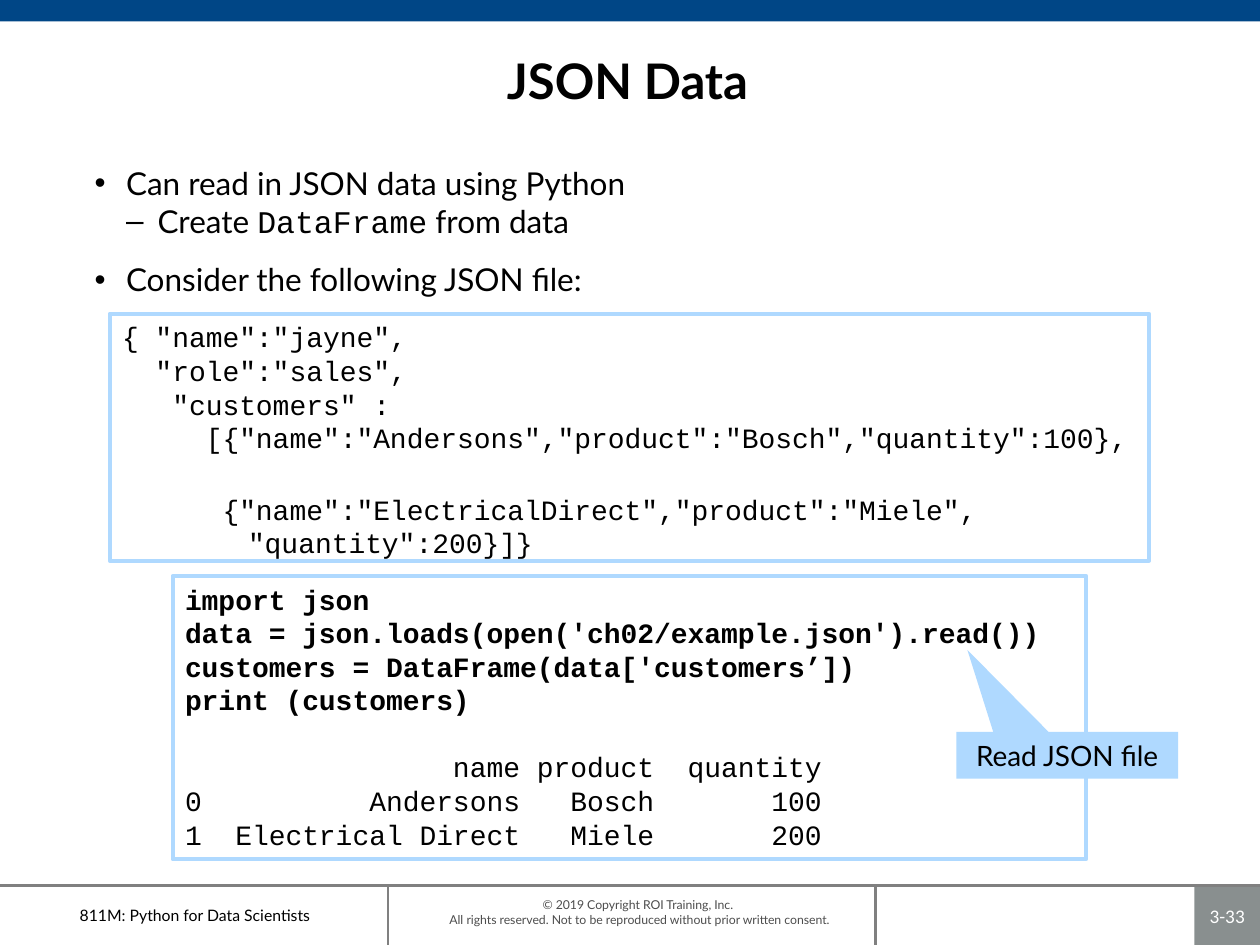
"""Build the JSON Data course slide."""
from lxml import etree
from pptx import Presentation
from pptx.dml.color import RGBColor
from pptx.enum.shapes import MSO_CONNECTOR, MSO_SHAPE
from pptx.enum.text import MSO_ANCHOR, MSO_AUTO_SIZE, PP_ALIGN
from pptx.oxml.ns import qn
from pptx.util import Inches, Pt

RECT, CALL = MSO_SHAPE.RECTANGLE, MSO_SHAPE.RECTANGULAR_CALLOUT
LINE = MSO_CONNECTOR.STRAIGHT
TOP, MID = MSO_ANCHOR.TOP, MSO_ANCHOR.MIDDLE
LEFT, MIDST = PP_ALIGN.LEFT, PP_ALIGN.CENTER
FIXED = MSO_AUTO_SIZE.NONE
SANS, MONO = "Lato", "Courier New"
BLACK, WHITE, SKY, NAVY = "000000", "FFFFFF", "AFD9FF", "004686"
GREY, DARK, STEEL = "808080", "4D4D4D", "898F8F"

DATA = [
    '{ "name":"jayne",',
    '  "role":"sales",',
    '   "customers" :',
    '     [{"name":"Andersons","product":"Bosch","quantity":100},\n',
    '      {"name":"ElectricalDirect","product":"Miele",',
    '\t\t"quantity":200}]}',
]
CODE = [
    "import json",
    "data = json.loads(open('ch02/example.json').read())",
    "customers = DataFrame(data['customers’])",
    "print (customers)",
]
RESULT = [
    " ",
    "                name product  quantity",
    "0          Andersons   Bosch       100",
    "1  Electrical Direct   Miele       200",
]
POINTS = [
    (0, [("Can read in JSON data using Python", SANS)]),
    (1, [("Create ", SANS), ("DataFrame", MONO), (" from data", SANS)]),
    (0, [("Consider the following JSON file:", SANS)]),
]


def color(code):
    return RGBColor.from_string(code)


class Deck:
    def __init__(self):
        self.prs = Presentation()
        self.prs.slide_width, self.prs.slide_height = Inches(10), Inches(7.5)
        self.slide = self.prs.slides.add_slide(self.prs.slide_layouts[1])

    def run(self, para, text, size, face=SANS, ink=BLACK, bold=False):
        for i, part in enumerate(text.split("\n")):
            if i:
                para.add_line_break()
            if part:
                run = para.add_run()
                run.text = part
                font = run.font
                font.name, font.size, font.bold = face, Pt(size), bold
                font.color.rgb = color(ink)

    def frame(self, shape, anchor=MID, pad=(0.1, 0.05)):
        frame = shape.text_frame
        frame.word_wrap, frame.auto_size = True, FIXED
        frame.vertical_anchor = anchor
        frame.margin_left = frame.margin_right = Inches(pad[0])
        frame.margin_top = frame.margin_bottom = Inches(pad[1])
        return frame

    def place(self, shape, box):
        shape.left, shape.top, shape.width, shape.height = map(Inches, box)

    def label(self, shape, text, size, pad=(0.1, 0.05), anchor=MID, **style):
        para = self.frame(shape, anchor, pad).paragraphs[0]
        para.alignment = MIDST
        self.run(para, text, size, **style)

    def note(self, box, text, size, **style):
        self.label(self.slide.shapes.add_textbox(*map(Inches, box)),
                   text, size, **style)

    def shape(self, box, kind=RECT, fill=None, line=None):
        shape = self.slide.shapes.add_shape(kind, *map(Inches, box))
        shape.shadow.inherit = False
        if fill:
            shape.fill.solid()
            shape.fill.fore_color.rgb = color(fill)
        else:
            shape.fill.background()
        if line:
            shape.line.color.rgb = color(line)
            shape.line.width = Pt(2.25)
        else:
            shape.line.fill.background()
        return shape

    def rule(self, *ends):
        line = self.slide.shapes.add_connector(LINE, *map(Inches, ends))
        line.line.color.rgb, line.line.width = color(GREY), Pt(1.5)
        etree.SubElement(line._element.spPr, qn("a:effectLst"))

    def code(self, box, rows):
        frame = self.frame(self.shape(box, line=SKY), TOP)
        for i, (text, bold) in enumerate(rows):
            para = frame.add_paragraph() if i else frame.paragraphs[0]
            para.alignment = LEFT
            self.run(para, text, 16, MONO, bold=bold)

    def title(self, box, text):
        shape = self.slide.shapes.title
        self.place(shape, box)
        self.label(shape, text, 28, bold=True)

    def bullets(self, box, points):
        shape = self.slide.placeholders[1]
        self.place(shape, box)
        frame = self.frame(shape, TOP)
        for i, (level, runs) in enumerate(points):
            para = frame.add_paragraph() if i else frame.paragraphs[0]
            para.level = level
            para.space_before = Pt(12 if i and not level else 0)
            props = para._p.get_or_add_pPr()
            props.set("marL", str(Inches(0.25 * (level + 1))))
            props.set("indent", str(Inches(-0.25)))
            etree.SubElement(props, qn("a:buFont"), typeface="Arial")
            etree.SubElement(props, qn("a:buChar"), char="•–"[level])
            for text, face in runs:
                self.run(para, text, 18, face)


def main():
    deck = Deck()
    deck.label(deck.shape((9.48, 7.03, 0.52, 0.47), fill=STEEL), "3-33", 11,
               pad=(0.04, 0.04), face="Calibri", ink=WHITE)
    deck.rule(0, 7.03, 10, 7.03)
    for x in (3.08, 6.95):
        deck.rule(x, 7.03, x, 7.5)
    deck.note((2.45, 7.12, 5.25, 0.24),
              "© 2019 Copyright ROI Training, Inc. \nAll rights reserved. "
              "Not to be reproduced without prior written consent.",
              7, pad=(0.1, 0), anchor=TOP, ink=DARK)
    deck.note((0, 7.03, 3.09, 0.47), "811M: Python for Data Scientists", 9)
    deck.shape((0, 0, 10, 0.17), fill=NAVY)
    deck.title((1.15, 0.29, 7.66, 0.69), "JSON Data")
    deck.bullets((0.65, 1.25, 8.77, 5.54), POINTS)
    deck.code((1.37, 4.57, 7.25, 2.25),
              [(row, True) for row in CODE] + [(row, False) for row in RESULT])
    call = deck.shape((7.59, 5.81, 1.76, 0.37), CALL, fill=SKY)
    call.adjustments[0], call.adjustments[1] = -0.45, -2.26
    deck.label(call, "Read JSON file", 16)
    deck.code((0.87, 2.49, 8.25, 1.96), [(row, False) for row in DATA])
    deck.prs.save("out.pptx")


if __name__ == "__main__":
    main()
